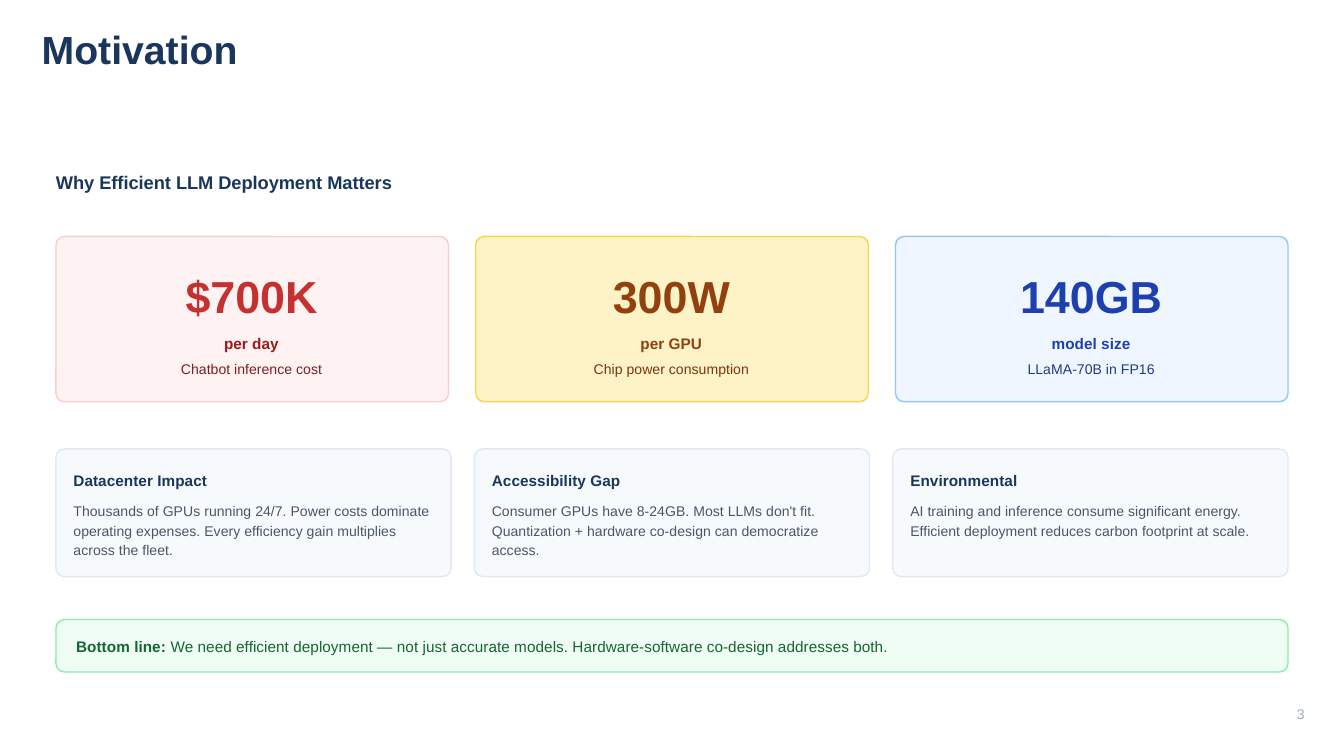
import pptx
import pptx.util
import pptx.dml.color
import pptx.enum.shapes
import pptx.enum.text

Inches = pptx.util.Inches
Pt = pptx.util.Pt
LEFT = pptx.enum.text.PP_ALIGN.LEFT
CENTER = pptx.enum.text.PP_ALIGN.CENTER

NAVY = "1A365D"
PAGE_WIDTH = 10
PAGE_HEIGHT = PAGE_WIDTH * 9 / 16
MARGIN = 5 / 12
CONTENT_WIDTH = PAGE_WIDTH - 2 * MARGIN
CORNER_RADIUS = 1 / 16

STATS = [
    ("$700K", "per day", "Chatbot inference cost",
     "FEF2F2", "FECACA", ("C53030", "991B1B", "7F1D1D")),
    ("300W", "per GPU", "Chip power consumption",
     "FEF3C7", "FCD34D", ("92400E", "92400E", "78350F")),
    ("140GB", "model size", "LLaMA-70B in FP16",
     "EFF6FF", "93C5FD", ("1E40AF", "1E40AF", "1E3A8A")),
]

IMPACTS = [
    ("Datacenter Impact",
     "Thousands of GPUs running 24/7. Power costs dominate operating expenses. "
     "Every efficiency gain multiplies across the fleet."),
    ("Accessibility Gap",
     "Consumer GPUs have 8-24GB. Most LLMs don't fit. "
     "Quantization + hardware co-design can democratize access."),
    ("Environmental",
     "AI training and inference consume significant energy. "
     "Efficient deployment reduces carbon footprint at scale."),
]


def color(hex_value):
    return pptx.dml.color.RGBColor.from_string(hex_value)


def format_span(span, size, hex_value, bold):
    span.font.name = "Arial"
    span.font.size = Pt(size)
    span.font.color.rgb = color(hex_value)
    span.font.bold = bold


def add_text(page, text, left, top, width, height, size, leading, hex_value,
             bold=False, align=LEFT):
    box = page.shapes.add_textbox(Inches(left), Inches(top), Inches(width), Inches(height))
    frame = box.text_frame
    frame.margin_left = frame.margin_right = frame.margin_top = frame.margin_bottom = 0
    frame.word_wrap = True
    frame.text = text
    para = frame.paragraphs[0]
    para.alignment = align
    para.line_spacing = Pt(leading)
    format_span(para.runs[0], size, hex_value, bold)
    return para


def add_card(page, left, top, width, height, fill, line):
    card = page.shapes.add_shape(
        pptx.enum.shapes.MSO_SHAPE.ROUNDED_RECTANGLE,
        Inches(left), Inches(top), Inches(width), Inches(height))
    card.adjustments[0] = CORNER_RADIUS / height
    card.shadow.inherit = False
    card.fill.solid()
    card.fill.fore_color.rgb = color(fill)
    card.line.color.rgb = color(line)
    card.line.width = Pt(0.75)


def add_stat(page, stat, left, top, width, height):
    value, unit, note, fill, line, (value_color, unit_color, note_color) = stat
    add_card(page, left, top, width, height, fill, line)
    inner_left, inner_width = left + 0.15, width - 0.31
    add_text(page, value, inner_left, top + 0.17, inner_width, 0.47,
             24, 33.6, value_color, True, CENTER)
    add_text(page, unit, inner_left, top + 0.7, inner_width, 0.16,
             8.25, 11.55, unit_color, True, CENTER)
    add_text(page, note, inner_left, top + 0.9, inner_width, 0.15,
             7.5, 10.5, note_color, False, CENTER)


def add_impact(page, impact, left, top, width, height):
    heading, body = impact
    add_card(page, left, top, width, height, "F7FAFC", "E2E8F0")
    inner_left, inner_width = left + 0.13, width - 0.21
    add_text(page, heading, inner_left, top + 0.14, inner_width, 0.16, 8.25, 11.55, NAVY, True)
    add_text(page, body, inner_left, top + 0.38, inner_width, 0.44, 7.5, 10.5, "4A5568")


def add_row(page, add_item, items, left, top, width, item_width, height):
    step = (width - item_width) / (len(items) - 1)
    for index, item in enumerate(items):
        add_item(page, item, left + index * step, top, item_width, height)


def add_bottom_line(page, left, top, width, height):
    add_card(page, left, top, width, height, "F0FDF4", "86EFAC")
    para = add_text(page, "Bottom line:", left + 0.15, top + 0.11, width - 0.15, 0.16,
                    8.25, 11.55, "166534", True)
    span = para.add_run()
    span.text = (" We need efficient deployment — not just accurate models. "
                 "Hardware-software co-design addresses both.")
    format_span(span, 8.25, "166534", False)


def main():
    deck = pptx.Presentation()
    deck.slide_width = Inches(PAGE_WIDTH)
    deck.slide_height = Inches(PAGE_HEIGHT)
    page = deck.slides.add_slide(deck.slide_layouts[6])
    add_text(page, "Motivation", 0.31, 0.25, 4.79, 0.29, 21, 21, NAVY, True)
    add_text(page, "Why Efficient LLM Deployment Matters", MARGIN, 1.25, 9.35, 0.19,
             9.75, 13.65, NAVY, True)
    add_row(page, add_stat, STATS, MARGIN, 1.76, CONTENT_WIDTH, 2.92, 1.23)
    add_row(page, add_impact, IMPACTS, MARGIN, 3.34, CONTENT_WIDTH, 2.94, 0.95)
    add_bottom_line(page, MARGIN, 4.61, CONTENT_WIDTH, 0.39)
    add_text(page, "3", 9.65, 5.23, 0.06, 0.15, 7.5, 10.5, "A0AEC0")
    deck.save("out.pptx")


if __name__ == "__main__":
    main()
